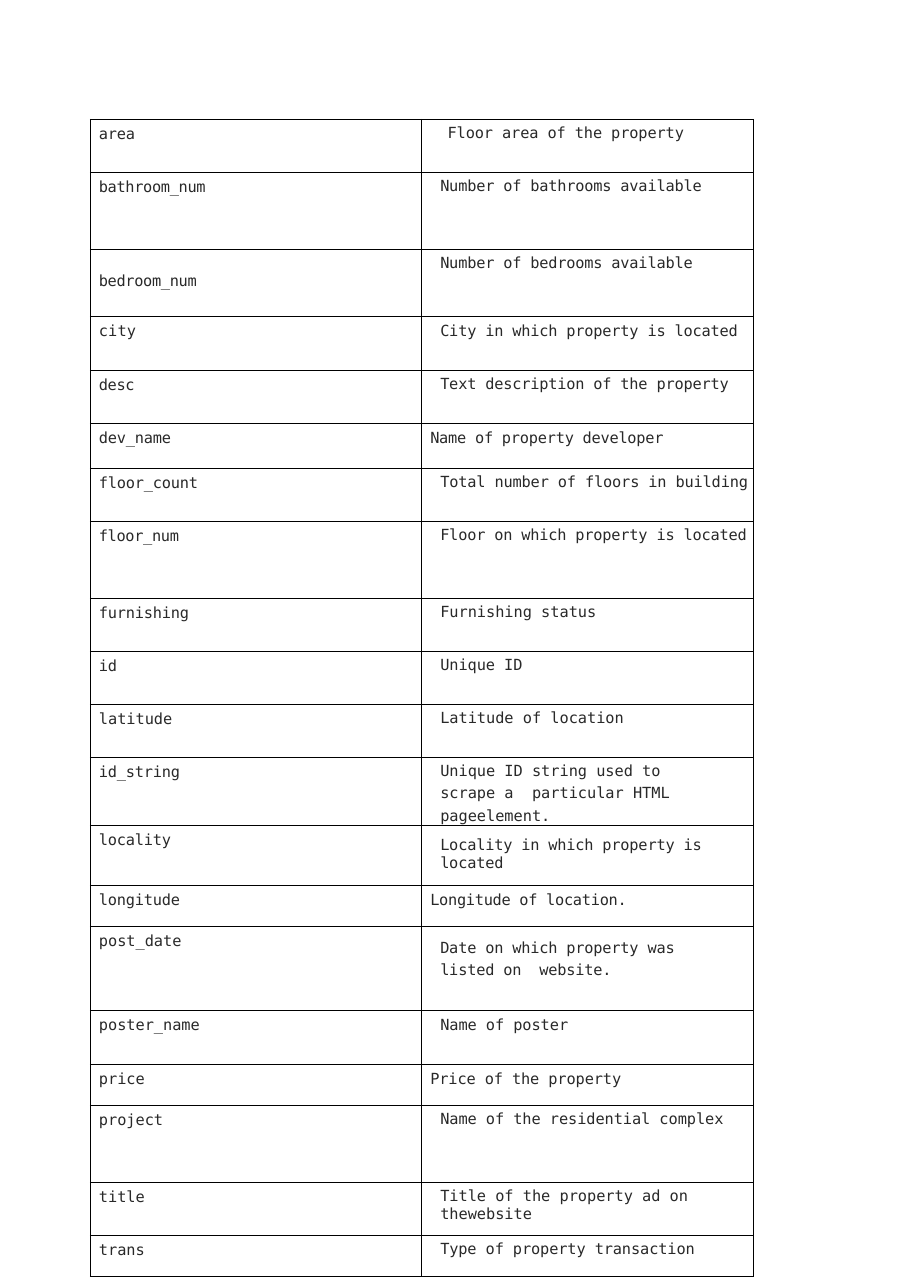
from dataclasses import dataclass

from lxml import etree
from pptx import Presentation, util as u
from pptx.dml.color import RGBColor
from pptx.enum import text
from pptx.oxml.ns import qn

FONT, INK, BORDER = "DejaVu Sans Mono", "292929", "000000"
NEAR, FAR = 0.2, 0.43  # left indents in cm


@dataclass
class Entry:
    """Cell text; lengths in cm, tracking in hundredths of a point."""
    text: str
    tracking: int = -10
    left: float = FAR
    top: float = 0.12
    right: float = 0
    spacing: float = 1.0


@dataclass
class Field:
    name: str
    height: float
    description: Entry
    tracking: int = -10
    top: float = 0.14


FIELDS = [
    Field("area", 1.22, Entry("Floor area of the property", -6, left=0.6)),
    Field("bathroom_num", 1.77, Entry("Number of bathrooms available"), -20),
    Field("bedroom_num", 1.55, Entry("Number of bedrooms available"), -20, top=0.54),
    Field("city", 1.24, Entry("City in which property is located", -12, top=0.13), 10, top=0.15),
    Field("desc", 1.22, Entry("Text description of the property"), -20),
    Field("dev_name", 1.04, Entry("Name of property developer", -14, NEAR, 0.14)),
    Field("floor_count", 1.23, Entry("Total number of floors in building", -8)),
    Field("floor_num", 1.77, Entry("Floor on which property is located"), -20),
    Field("furnishing", 1.22, Entry("Furnishing status", 0)),
    Field("id", 1.22, Entry("Unique ID", -2)),
    Field("latitude", 1.22, Entry("Latitude of location", 0), 0),
    Field("id_string", 1.56, Entry("Unique ID string used to scrape a  particular HTML pageelement.",
                                   0, top=0, right=1, spacing=1.28)),
    Field("locality", 1.38, Entry("Locality in which property is located", -12, top=0.25)),
    Field("longitude", 0.94, Entry("Longitude of location.", -18, NEAR, 0.14)),
    Field("post_date", 1.95, Entry("Date on which property was listed on  website.",
                                   -11, top=0.18, right=1, spacing=1.28), 0),
    Field("poster_name", 1.24, Entry("Name of poster", -4), 0),
    Field("price", 0.94, Entry("Price of the property", -6, NEAR, 0.14), 0),
    Field("project", 1.77, Entry("Name of the residential complex", -3), 0),
    Field("title", 1.22, Entry("Title of the property ad on thewebsite", -1), 0),
    Field("trans", 0.95, Entry("Type of property transaction", -7), 0),
]


def rgb(value: str) -> RGBColor:
    return RGBColor.from_string(value)


def set_all(target, values: dict) -> None:
    for name, value in values.items():
        setattr(target, name, value)


def add_borders(cell) -> None:
    tc_pr = cell._tc.get_or_add_tcPr()
    for i, side in enumerate(("lnL", "lnR", "lnT", "lnB")):
        line = etree.Element(qn(f"a:{side}"), w=str(u.Pt(0.5)))
        fill = etree.SubElement(line, qn("a:solidFill"))
        etree.SubElement(fill, qn("a:srgbClr"), val=BORDER)
        tc_pr.insert(i, line)


def fill_cell(cell, entry: Entry) -> None:
    set_all(cell, {
        "margin_left": u.Cm(entry.left), "margin_top": u.Cm(entry.top),
        "margin_right": u.Cm(entry.right), "margin_bottom": 0,
        "vertical_anchor": text.MSO_ANCHOR.TOP,
    })
    cell.fill.background()
    add_borders(cell)
    p = cell.text_frame.paragraphs[0]
    set_all(p, {"alignment": text.PP_ALIGN.LEFT, "line_spacing": entry.spacing})
    r = p.add_run()
    r.text = entry.text
    set_all(r.font, {"name": FONT, "size": u.Pt(10), "bold": False})
    r.font.color.rgb = rgb(INK)
    r._r.get_or_add_rPr().set("spc", str(entry.tracking))


def add_field_table(s, fields: list[Field]) -> None:
    column = u.Cm(7.64)
    height = u.Cm(sum(f.height for f in fields))
    table = s.shapes.add_table(len(fields), 2, u.Cm(2.08), u.Cm(2.75), 2 * column, height).table
    set_all(table, {"first_row": False, "horz_banding": False})
    for col in table.columns:
        col.width = column
    for i, field in enumerate(fields):
        table.rows[i].height = u.Cm(field.height)
        fill_cell(table.cell(i, 0), Entry(field.name, field.tracking, NEAR, field.top))
        fill_cell(table.cell(i, 1), field.description)


def main() -> None:
    prs = Presentation()
    set_all(prs, {"slide_width": u.Cm(20.98), "slide_height": u.Cm(29.69)})
    s = prs.slides.add_slide(prs.slide_layouts[6])
    add_field_table(s, FIELDS)
    prs.save("out.pptx")


if __name__ == "__main__":
    main()
